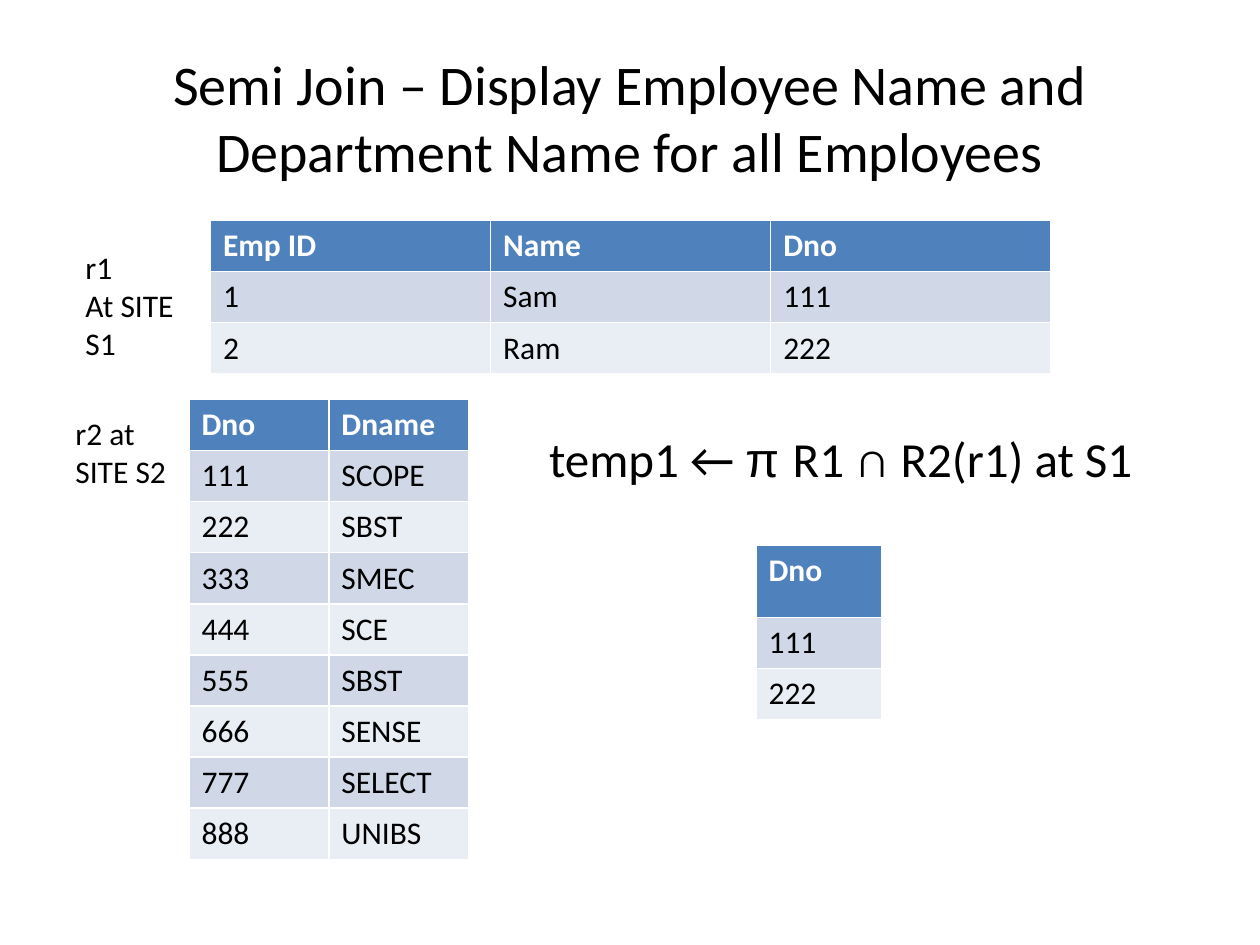
from pptx import Presentation, util as u
from pptx.dml.color import RGBColor
from pptx.enum import text

HEAD, BANDS = "4F81BD", ("D0D8E8", "E9EDF4")
WHITE, BLACK = "FFFFFF", "000000"
ROW = 0.405


def color(code):
    return RGBColor.from_string(code)


class Deck:
    def __init__(self, wide, high):
        self.prs = Presentation()
        self.prs.slide_width, self.prs.slide_height = u.Inches(wide), u.Inches(high)
        self.slide = self.prs.slides.add_slide(self.prs.slide_layouts[5])
        self.base = {"name": "Calibri", "size": u.Pt(18), "bold": False}

    def style(self, run, code=BLACK, **form):
        for key, value in {**self.base, **form}.items():
            setattr(run.font, key, value)
        run.font.color.rgb = color(code)

    def fill(self, para, words, code=BLACK, **form):
        run = para.add_run()
        run.text = words
        self.style(run, code, **form)

    def title(self, words, box):
        shape = self.slide.shapes.title
        for key, value in zip(("left", "top", "width", "height"), box):
            setattr(shape, key, u.Inches(value))
        frame = shape.text_frame
        frame.vertical_anchor = text.MSO_ANCHOR.MIDDLE
        para = frame.paragraphs[0]
        para.alignment = text.PP_ALIGN.CENTER
        self.fill(para, words, size=u.Pt(32))

    def label(self, lines, box, wrap=True, size=18):
        """Add a text box; each line is a list of (words, font) pairs."""
        frame = self.slide.shapes.add_textbox(*map(u.Inches, box)).text_frame
        frame.word_wrap = wrap
        frame.auto_size = text.MSO_AUTO_SIZE.SHAPE_TO_FIT_TEXT
        for i, line in enumerate(lines):
            para = frame.add_paragraph() if i else frame.paragraphs[0]
            for words, font in line:
                self.fill(para, words, name=font, size=u.Pt(size))

    def table(self, rows, left, top, width, head=ROW):
        """Add a banded table whose first row is the header."""
        high = head + ROW * (len(rows) - 1)
        box = map(u.Inches, (left, top, width, high))
        grid = self.slide.shapes.add_table(len(rows), len(rows[0]), *box).table
        for r, row in enumerate(rows):
            grid.rows[r].height = u.Inches(ROW if r else head)
            for c, words in enumerate(row):
                cell = grid.cell(r, c)
                cell.fill.solid()
                cell.fill.fore_color.rgb = color(BANDS[(r - 1) % 2] if r else HEAD)
                self.fill(cell.text_frame.paragraphs[0], words,
                          BLACK if r else WHITE, bold=not r)


def main():
    deck = Deck(10, 7.5)
    deck.title("Semi Join – Display Employee Name and Department Name "
               "for all Employees", (0.5, 0.3, 9, 1.25))

    staff = [("Emp ID", "Name", "Dno"), ("1", "Sam", "111"), ("2", "Ram", "222")]
    deck.table(staff, 1.67, 1.75, 6.67)

    names = ("SCOPE", "SBST", "SMEC", "SCE", "SBST", "SENSE", "SELECT", "UNIBS")
    depts = [(str(111 * n), name) for n, name in enumerate(names, 1)]
    deck.table([("Dno", "Dname")] + depts, 1.5, 3.17, 2.22)

    deck.label([[("temp1 ← ", "Calibri"), ("π ", "Arial"),
                 ("R1 ∩ R2(r1) at S1", "Calibri")]],
               (4.26, 3.35, 4.84, 0.57), wrap=False, size=28)
    deck.table([("Dno",), ("111",), ("222",)], 6, 4.33, 1, head=0.57)

    deck.label([[("r1", "Calibri")], [("At SITE S1", "Calibri")]],
               (0.58, 1.92, 1.08, 1.01))
    deck.label([[("r2 at SITE S2", "Calibri")]], (0.5, 3.24, 0.99, 0.71))
    deck.prs.save("out.pptx")


if __name__ == "__main__":
    main()
